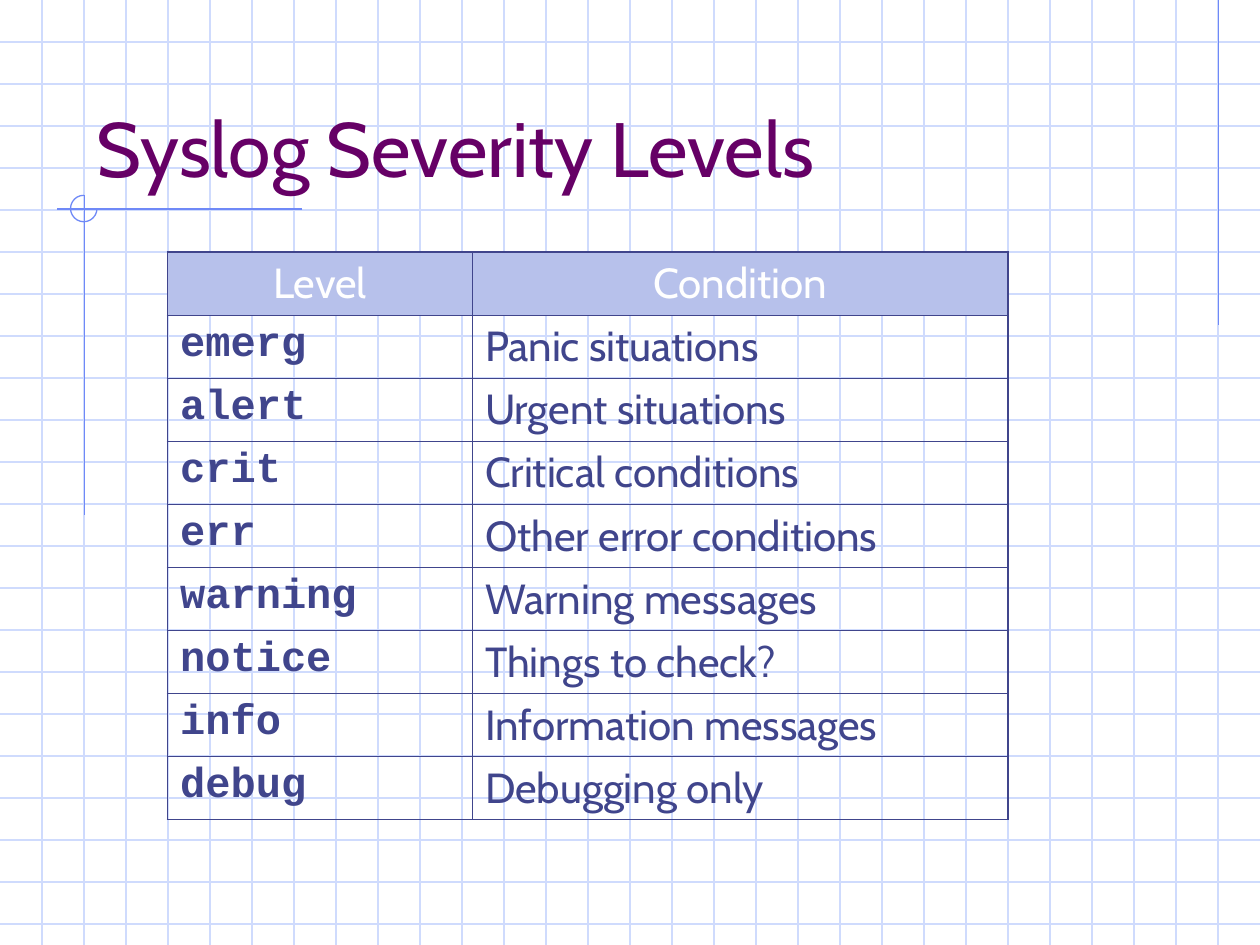
from lxml.etree import SubElement
from pptx import Presentation
from pptx.dml.color import RGBColor
from pptx.enum.shapes import MSO_CONNECTOR, MSO_SHAPE
from pptx.enum.text import MSO_ANCHOR, PP_ALIGN
from pptx.oxml.ns import qn
from pptx.util import Inches, Pt

# Content
TITLE = "Syslog Severity Levels"
LEVELS = [
    ("Level", "Condition"),
    ("emerg", "Panic situations"),
    ("alert", "Urgent situations"),
    ("crit", "Critical conditions"),
    ("err", "Other error conditions"),
    ("warning", "Warning messages"),
    ("notice", "Things to check?"),
    ("info", "Information messages"),
    ("debug", "Debugging only"),
]

# Look
WHITE = RGBColor(0xFF, 0xFF, 0xFF)
GRID = RGBColor(0xCF, 0xDB, 0xFD)
ACCENT = RGBColor(0x6F, 0x89, 0xF7)
PURPLE = RGBColor(0x66, 0x00, 0x66)
INDIGO = RGBColor(0x40, 0x45, 0x8C)
HEADER_FILL = RGBColor(0xB7, 0xC1, 0xEB)
TITLE_FONT = {"name": "Cabin", "size": Pt(44), "color": PURPLE}
HEADER_FONT = {"name": "Cabin", "size": Pt(24), "bold": False, "color": WHITE}
LEVEL_FONT = {"name": "Courier New", "size": Pt(24), "bold": True, "color": INDIGO}
CONDITION_FONT = {**HEADER_FONT, "color": INDIGO}
OUTER, INNER = Pt(1.08), Pt(0.45)

# Layout, in inches
WIDTH, HEIGHT = 10, 7.5
STEPS_PER_INCH = 3
COLUMN_WIDTHS = (2.42, 4.25)
ROW_HEIGHT = 0.5
ACCENT_LINES = [
    (9.67, 0, 9.67, 2.58),
    (2.4, 1.66, 0.45, 1.66),
    (0.67, 1.55, 0.67, 4.09),
]

prs = Presentation()
prs.slide_width, prs.slide_height = Inches(WIDTH), Inches(HEIGHT)
slide = prs.slides.add_slide(prs.slide_layouts[6])
slide.background.fill.solid()
slide.background.fill.fore_color.rgb = WHITE


def add_line(ends, color):
    line = slide.shapes.add_connector(MSO_CONNECTOR.STRAIGHT, *map(Inches, ends))
    line.line.color.rgb = color
    line.line.width = Pt(0.75)
    SubElement(line._element.spPr, qn("a:effectLst"))


def write(frame, text, font_values, align=PP_ALIGN.LEFT):
    paragraph = frame.paragraphs[0]
    paragraph.alignment = align
    run = paragraph.add_run()
    run.text = text
    for key, value in font_values.items():
        if key == "color":
            run.font.color.rgb = value
        else:
            setattr(run.font, key, value)


def set_borders(cell, widths):
    properties = cell._tc.get_or_add_tcPr()
    for side, width in widths.items():
        border = SubElement(properties, qn(f"a:ln{side}"), w=str(width))
        fill = SubElement(border, qn("a:solidFill"))
        SubElement(fill, qn("a:srgbClr"), val=str(INDIGO))


# Graph paper
for step in range(1, int(HEIGHT * STEPS_PER_INCH) + 1):
    y = step / STEPS_PER_INCH
    add_line((0, y, WIDTH, y), GRID)
for step in range(1, WIDTH * STEPS_PER_INCH):
    x = step / STEPS_PER_INCH
    add_line((x, 0, x, HEIGHT), GRID)

# Accent lines and the three-quarter circle at their crossing
for ends in ACCENT_LINES:
    add_line(ends, ACCENT)
arc = slide.shapes.add_shape(
    MSO_SHAPE.ARC, Inches(0.56), Inches(1.55), Inches(0.21), Inches(0.21))
arc.adjustments[0], arc.adjustments[1] = 0, 162  # 0 to 270 degrees
arc.shadow.inherit = False
arc.fill.background()
arc.line.color.rgb = ACCENT
arc.line.width = Pt(0.75)

# Title
title = slide.shapes.add_textbox(
    Inches(0.67), Inches(0.33), Inches(8.5), Inches(1.25)).text_frame
title.word_wrap = True
title.vertical_anchor = MSO_ANCHOR.BOTTOM
write(title, TITLE, TITLE_FONT)

# Severity table
last_row, last_column = len(LEVELS) - 1, len(COLUMN_WIDTHS) - 1
table = slide.shapes.add_table(
    len(LEVELS), len(COLUMN_WIDTHS), Inches(1.33), Inches(2),
    Inches(sum(COLUMN_WIDTHS)), Inches(ROW_HEIGHT * len(LEVELS))).table
table.first_row = table.horz_banding = False
for column, width in zip(table.columns, COLUMN_WIDTHS):
    column.width = Inches(width)

for r, row in enumerate(LEVELS):
    for c, text in enumerate(row):
        cell = table.cell(r, c)
        set_borders(cell, {
            "L": OUTER if c == 0 else INNER,
            "R": OUTER if c == last_column else INNER,
            "T": OUTER if r == 0 else INNER,
            "B": OUTER if r == last_row else INNER,
        })
        if r == 0:
            cell.fill.solid()
            cell.fill.fore_color.rgb = HEADER_FILL
            write(cell.text_frame, text, HEADER_FONT, PP_ALIGN.CENTER)
        else:
            cell.fill.background()
            write(cell.text_frame, text, (LEVEL_FONT, CONDITION_FONT)[c])

prs.save("out.pptx")
